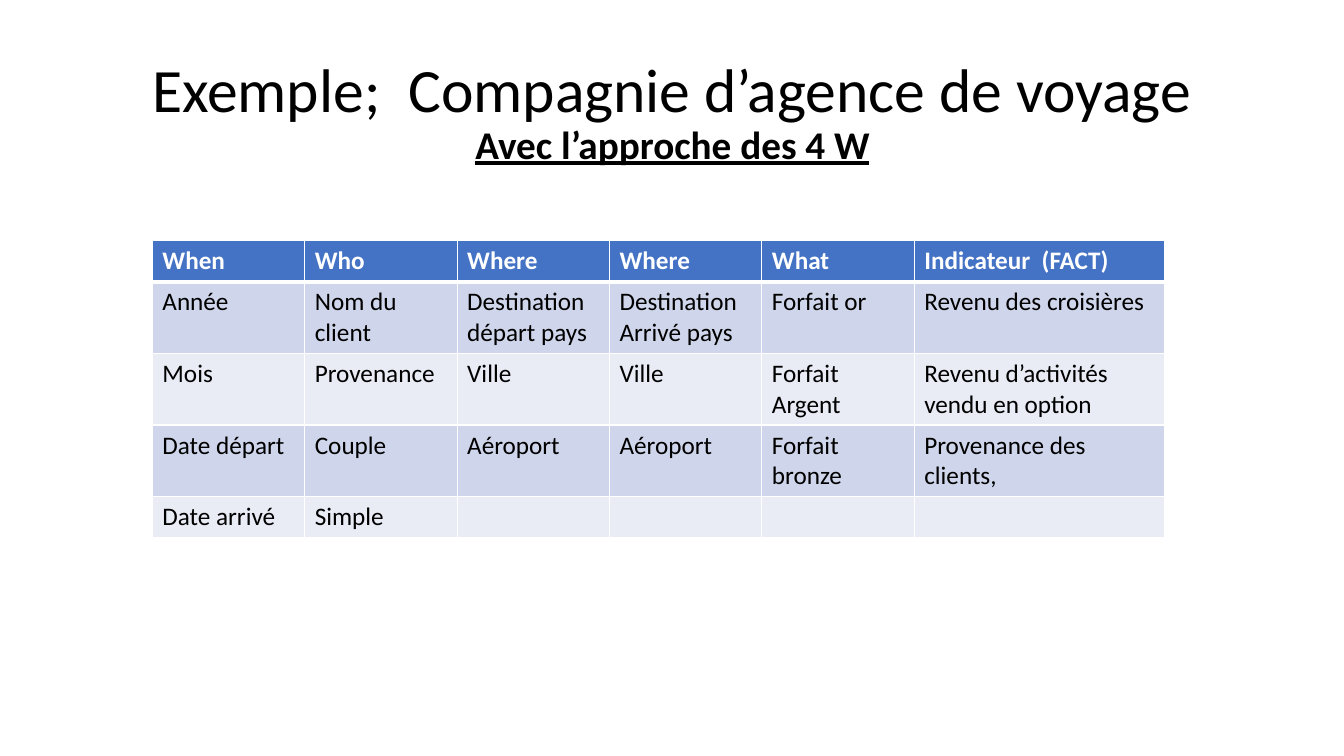
"""Build a slide that sets out the 4 W approach for a travel agency."""
from dataclasses import dataclass

from lxml import etree
from pptx import Presentation
from pptx.dml.color import RGBColor
from pptx.enum.text import MSO_ANCHOR, MSO_AUTO_SIZE, PP_ALIGN
from pptx.util import Cm, Pt

MIDDLE = MSO_ANCHOR.MIDDLE
CENTER = PP_ALIGN.CENTER
FIXED = MSO_AUTO_SIZE.NONE
TITLE_ONLY = 5
DRAW_NS = "http://schemas.openxmlformats.org/drawingml/2006/main"


@dataclass(frozen=True)
class Theme:
    font: str = "Calibri"
    ink: str = "000000"
    paper: str = "FFFFFF"
    head: str = "4472C4"
    bands: tuple[str, str] = ("CFD5EA", "E9EBF5")
    title: int = 44
    sub: int = 28
    body: int = 18
    thin: int = 1
    thick: int = 3


@dataclass(frozen=True)
class Box:
    left: float
    top: float
    width: float
    height: float


@dataclass(frozen=True)
class Style:
    size: int
    color: str
    bold: bool = False
    under: bool = False


@dataclass(frozen=True)
class Column:
    head: str
    items: tuple[str, ...]
    width: float = 3.84


THEME = Theme()
TITLE_BOX = Box(2.34, 1.02, 29.21, 3.68)
GRID_BOX = Box(3.84, 6.07, 25.5, 7.39)
ROW_HIGH = 1.03
COLUMNS = (
    Column("When", ("Année", "Mois", "Date départ", "Date arrivé")),
    Column("Who", ("Nom du client", "Provenance", "Couple", "Simple")),
    Column("Where", ("Destination départ pays", "Ville", "Aéroport", "")),
    Column("Where", ("Destination Arrivé pays", "Ville", "Aéroport", "")),
    Column("What", ("Forfait or", "Forfait Argent", "Forfait bronze", "")),
    Column("Indicateur  (FACT)", (
        "Revenu des croisières", "Revenu d’activités vendu en option",
        "Provenance des clients,", ""), 6.3),
)


def add_run(para, text: str, style: Style) -> None:
    """Append one styled run to a paragraph."""
    run = para.add_run()
    run.text = text
    font = run.font
    font.name, font.size = THEME.font, Pt(style.size)
    font.bold, font.underline = style.bold, style.under
    font.color.rgb = RGBColor.from_string(style.color)


def set_title(slide, box: Box) -> None:
    """Place and fill the title with its two lines."""
    title = slide.shapes.title
    title.left, title.top = Cm(box.left), Cm(box.top)
    title.width, title.height = Cm(box.width), Cm(box.height)
    frame = title.text_frame
    frame.auto_size, frame.vertical_anchor = FIXED, MIDDLE
    para = frame.paragraphs[0]
    para.alignment, para.line_spacing = CENTER, 0.9
    add_run(para, "Exemple;  Compagnie d’agence de voyage",
            Style(THEME.title, THEME.ink))
    para.add_line_break()
    add_run(para, "Avec l’approche des 4 W",
            Style(THEME.sub, THEME.ink, True, True))


def set_edges(cell, top: int, bottom: int) -> None:
    """Draw the four borders of a cell."""
    props = cell._tc.get_or_add_tcPr()
    edges = {"lnL": THEME.thin, "lnR": THEME.thin, "lnT": top, "lnB": bottom}
    for place, (tag, width) in enumerate(edges.items()):
        line = etree.Element(f"{{{DRAW_NS}}}{tag}", w=str(Pt(width)))
        fill = etree.SubElement(line, f"{{{DRAW_NS}}}solidFill")
        etree.SubElement(fill, f"{{{DRAW_NS}}}srgbClr", val=THEME.paper)
        props.insert(place, line)


def set_cell(cell, text: str, row: int) -> None:
    """Fill and border a cell by its row, and write its text."""
    is_head = row == 0
    color = THEME.head if is_head else THEME.bands[(row - 1) % 2]
    cell.fill.solid()
    cell.fill.fore_color.rgb = RGBColor.from_string(color)
    set_edges(cell, THEME.thick if row == 1 else THEME.thin,
              THEME.thick if is_head else THEME.thin)
    if text:
        ink = THEME.paper if is_head else THEME.ink
        add_run(cell.text_frame.paragraphs[0], text,
                Style(THEME.body, ink, is_head))


def add_grid(slide, box: Box, columns: tuple[Column, ...]) -> None:
    """Add the table, one column at a time."""
    count = len(columns[0].items) + 1
    frame = slide.shapes.add_table(
        count, len(columns), Cm(box.left), Cm(box.top),
        Cm(box.width), Cm(box.height))
    table = frame.table
    for row in table.rows:
        row.height = Cm(ROW_HIGH)
    for col, column in enumerate(columns):
        table.columns[col].width = Cm(column.width)
        for row, text in enumerate((column.head, *column.items)):
            set_cell(table.cell(row, col), text, row)
    frame.height = Cm(box.height)


def main() -> None:
    """Build and save the deck."""
    deck = Presentation()
    deck.slide_width, deck.slide_height = Cm(33.87), Cm(19.05)
    slide = deck.slides.add_slide(deck.slide_layouts[TITLE_ONLY])
    set_title(slide, TITLE_BOX)
    add_grid(slide, GRID_BOX, COLUMNS)
    deck.save("out.pptx")


if __name__ == "__main__":
    main()
